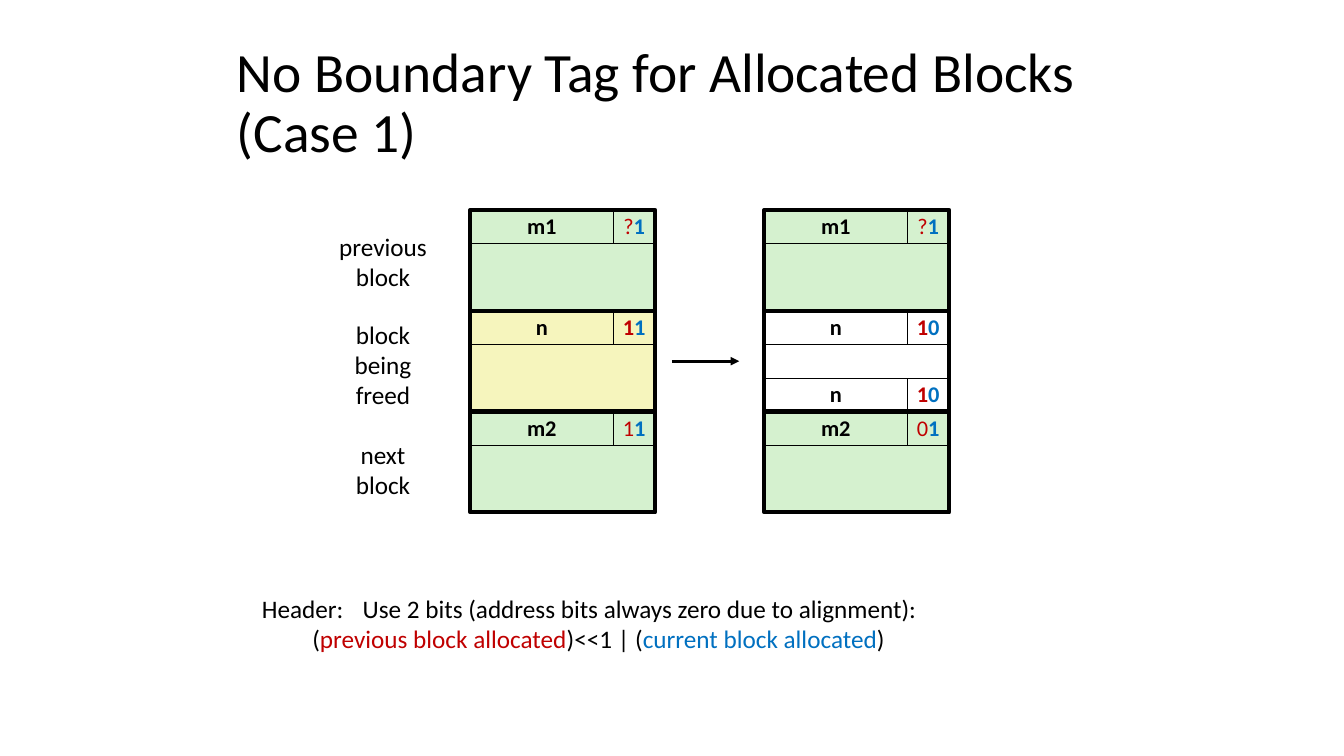
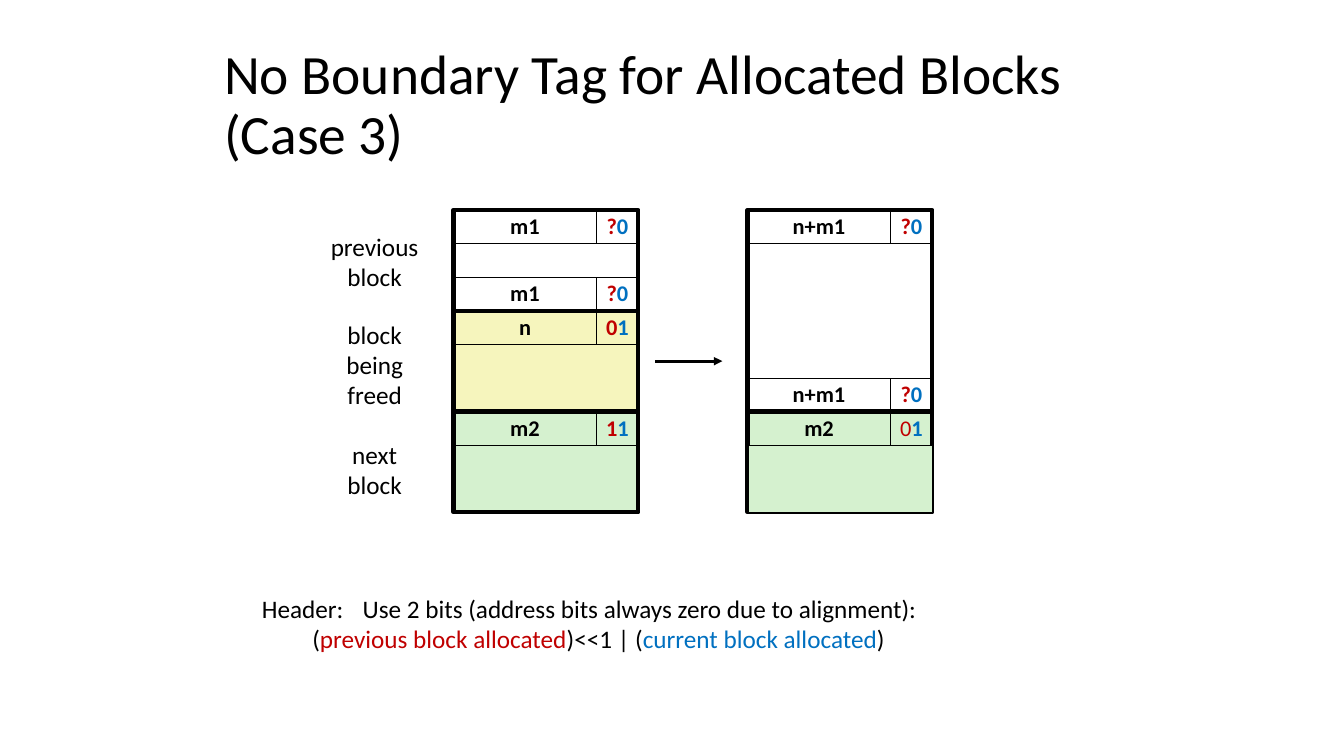
from dataclasses import dataclass

from lxml import etree
from pptx import Presentation
from pptx import util as u
from pptx.dml.color import RGBColor
from pptx.enum import shapes, text
from pptx.oxml import ns


# Colours, type sizes and line widths
@dataclass(frozen=True)
class Theme:
    font: str = "Calibri"
    ink: str = "000000"
    previous_bit: str = "C00000"
    current_bit: str = "0070C0"
    allocated: str = "D5F1CF"
    freeing: str = "F6F5BD"
    free: str = "FFFFFF"
    title_size: float = 39.6
    body_size: float = 18
    cell_size: float = 16
    thin: float = 0.26
    thick: float = 3
    arrow: float = 2


THEME = Theme()

# The slide is a grid of 160 columns by 90 rows, each 1/12 inch
SLIDE_WIDTH, SLIDE_HEIGHT = u.Inches(13.33), u.Inches(7.5)
COLUMNS, ROWS = 160, 90
NAME_WIDTH, TAG_WIDTH = 17, 5
BLOCK_WIDTH = NAME_WIDTH + TAG_WIDTH
CELL_HEIGHT, BLOCK_HEIGHT, DIAGRAM_TOP = 4, 12, 25
RESULT_OFFSET, ARROW_OFFSET, ARROW_LENGTH = 35, 24, 8


@dataclass(frozen=True)
class Block:
    name: str
    bits: str
    fill: str
    has_footer: bool = False
    bold_previous: bool = True
    span: int = 1
    body_in_front: bool = False


def place(left, top, width, height):
    """Turn grid columns and rows into slide lengths."""
    x, y = SLIDE_WIDTH / COLUMNS, SLIDE_HEIGHT / ROWS
    return [u.Emu(round(length)) for length in (left * x, top * y, width * x, height * y)]


def write(shape, runs, *, size, align=text.PP_ALIGN.LEFT, anchor=text.MSO_ANCHOR.TOP,
          wrap=True, spacing=None):
    """Fill a shape with runs given as (words, colour, bold)."""
    frame = shape.text_frame
    frame.word_wrap = wrap
    frame.vertical_anchor = anchor
    paragraph = frame.paragraphs[0]
    paragraph.alignment = align
    paragraph.line_spacing = spacing
    for words, colour, bold in runs:
        for index, line in enumerate(words.split("\n")):
            if index:
                paragraph.add_line_break()
            run = paragraph.add_run()
            run.text = line
            run.font.name = THEME.font
            run.font.size = u.Pt(size)
            run.font.bold = bold
            run.font.color.rgb = RGBColor.from_string(colour)


def add_text(slide, position, runs, **style):
    write(slide.shapes.add_textbox(*place(*position)), runs, **style)


def add_box(slide, position, fill=None, line=THEME.thin, runs=()):
    box = slide.shapes.add_shape(shapes.MSO_SHAPE.RECTANGLE, *place(*position))
    box.shadow.inherit = False
    if fill:
        box.fill.solid()
        box.fill.fore_color.rgb = RGBColor.from_string(fill)
    else:
        box.fill.background()
    box.line.color.rgb = RGBColor.from_string(THEME.ink)
    box.line.width = u.Pt(line)
    if runs:
        write(box, runs, size=THEME.cell_size, align=text.PP_ALIGN.CENTER,
              anchor=text.MSO_ANCHOR.MIDDLE, wrap=False, spacing=0.98)


def add_arrow(slide, left, top, length):
    x, y, width, _ = place(left, top, length, 0)
    arrow = slide.shapes.add_connector(shapes.MSO_CONNECTOR.STRAIGHT, x, y, x + width, y)
    arrow.line.color.rgb = RGBColor.from_string(THEME.ink)
    arrow.line.width = u.Pt(THEME.arrow)
    etree.SubElement(arrow.line._get_or_add_ln(), ns.qn("a:tailEnd"), type="triangle")
    etree.SubElement(arrow._element.spPr, ns.qn("a:effectLst"))


def add_tagged_row(slide, left, top, block):
    """A size field followed by its two allocation bits."""
    previous, current = block.bits
    add_box(slide, (left, top, NAME_WIDTH, CELL_HEIGHT), block.fill,
            runs=[(block.name, THEME.ink, True)])
    add_box(slide, (left + NAME_WIDTH, top, TAG_WIDTH, CELL_HEIGHT), block.fill,
            runs=[(previous, THEME.previous_bit, block.bold_previous),
                  (current, THEME.current_bit, True)])


def add_block(slide, left, top, block):
    height = block.span * BLOCK_HEIGHT
    body_height = height - CELL_HEIGHT * (2 if block.has_footer else 1)
    body = (left, top + CELL_HEIGHT, BLOCK_WIDTH, body_height)
    add_tagged_row(slide, left, top, block)
    if not block.body_in_front:
        add_box(slide, body, block.fill)
    if block.has_footer:
        add_tagged_row(slide, left, top + height - CELL_HEIGHT, block)
    add_box(slide, (left, top, BLOCK_WIDTH, height), line=THEME.thick)
    if block.body_in_front:
        add_box(slide, (left + 0.12, body[1], BLOCK_WIDTH - 0.12, body_height), block.fill)


def add_stack(slide, left, blocks):
    top = DIAGRAM_TOP
    for block in blocks:
        add_block(slide, left, top, block)
        top += block.span * BLOCK_HEIGHT


def add_labels(slide, left):
    labels = [(26.9, 8.5, "previous\nblock"),
              (37.4, 12.1, "block\nbeing\nfreed"),
              (51.7, 8.5, "next\nblock")]
    for top, height, label in labels:
        add_text(slide, (left, top, 13.2, height), [(label, THEME.ink, False)],
                 size=THEME.body_size, align=text.PP_ALIGN.CENTER)


def add_header_note(slide):
    intro = "Header: \tUse 2 bits (address bits always zero due to alignment):\n\t("
    runs = [(intro, THEME.ink, False),
            ("previous block allocated", THEME.previous_bit, False),
            (")<<1 | (", THEME.ink, False),
            ("current block allocated", THEME.current_bit, False),
            (")", THEME.ink, False)]
    add_text(slide, (30, 70, 84.7, 8.5), runs, size=THEME.body_size)


def add_case(presentation, title, title_position, label_left, diagram_left, before, after):
    slide = presentation.slides.add_slide(presentation.slide_layouts[6])
    add_text(slide, title_position, [(title, THEME.ink, False)], size=THEME.title_size,
             anchor=text.MSO_ANCHOR.MIDDLE, spacing=0.9)
    add_stack(slide, diagram_left, before)
    add_stack(slide, diagram_left + RESULT_OFFSET, after)
    add_arrow(slide, diagram_left + ARROW_OFFSET, 43, ARROW_LENGTH)
    add_labels(slide, label_left)
    add_header_note(slide)


def main():
    presentation = Presentation()
    presentation.slide_width, presentation.slide_height = SLIDE_WIDTH, SLIDE_HEIGHT

    # Case 1: both neighbours are allocated
    previous = Block("m1", "?1", THEME.allocated, bold_previous=False)
    add_case(
        presentation, "No Boundary Tag for Allocated Blocks\n(Case 1)",
        (27, 8.6, 112, 7.6), label_left=39, diagram_left=56,
        before=[previous,
                Block("n", "11", THEME.freeing),
                Block("m2", "11", THEME.allocated, bold_previous=False)],
        after=[previous,
               Block("n", "10", THEME.free, has_footer=True),
               Block("m2", "01", THEME.allocated, bold_previous=False)])

    # Case 3: the previous block is free and gets merged
    add_case(
        presentation, "No Boundary Tag for Allocated Blocks (Case 3)",
        (25.5, 8.9, 109, 7.6), label_left=38, diagram_left=54,
        before=[Block("m1", "?0", THEME.free, has_footer=True),
                Block("n", "01", THEME.freeing),
                Block("m2", "11", THEME.allocated)],
        after=[Block("n+m1", "?0", THEME.free, has_footer=True, span=2),
               Block("m2", "01", THEME.allocated, bold_previous=False, body_in_front=True)])

    presentation.save("out.pptx")


main()
